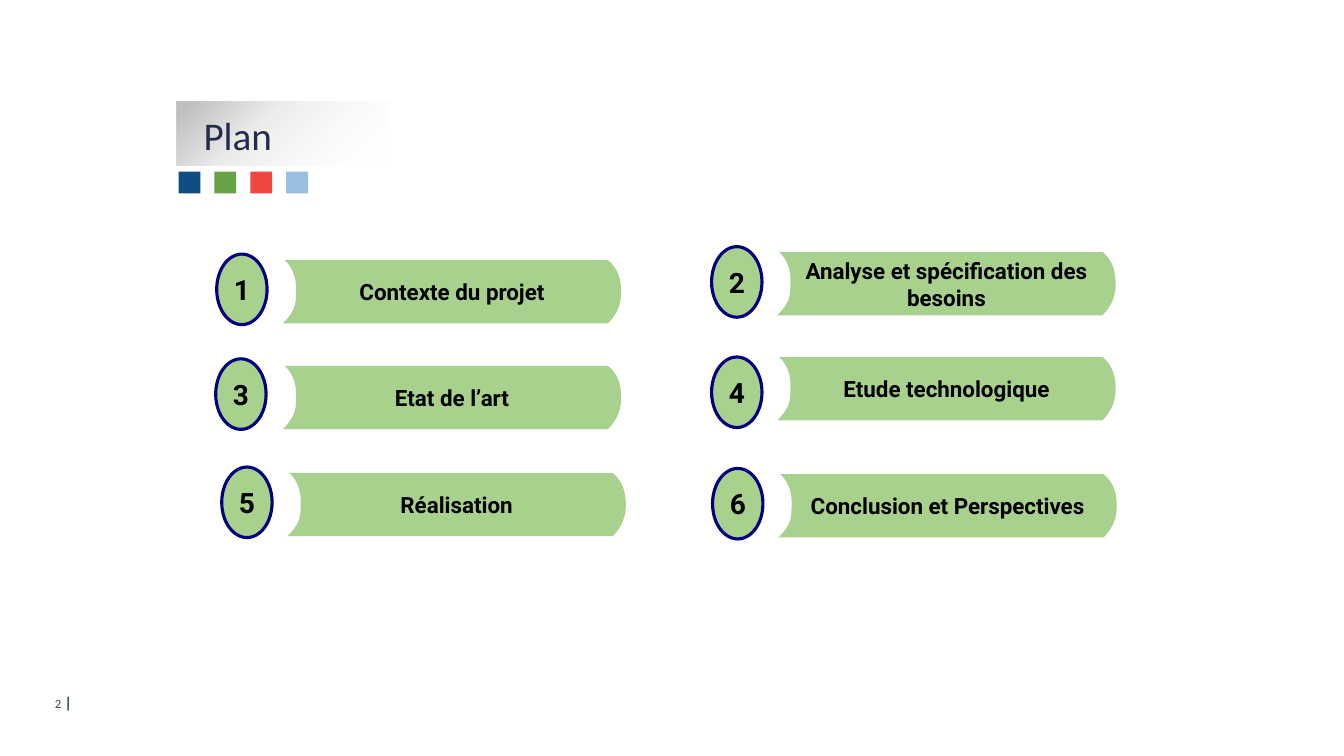
from lxml import etree
from pptx import Presentation
from pptx.dml.color import RGBColor
from pptx.enum.shapes import MSO_SHAPE
from pptx.enum.text import MSO_ANCHOR, PP_ALIGN
from pptx.oxml.ns import qn
from pptx.util import Pt

RECTANGLE = MSO_SHAPE.RECTANGLE
OVAL = MSO_SHAPE.OVAL
MIDDLE = MSO_ANCHOR.MIDDLE
LEFT = PP_ALIGN.LEFT
CENTER = PP_ALIGN.CENTER
RIGHT = PP_ALIGN.RIGHT

GREEN = "A9D18E"
NAVY = "000080"
BLACK = "000000"
SQUARE_COLORS = ("0F4C81", "69A147", "EF4641", "98BEE0")
GRADIENT_STOPS = ((5, "BFBFBF", 100), (37, "BFBFBF", 31), (100, "FFFFFF", 0))
BANNER_START = (232.3, 0)
BANNER_SEGMENTS = (
    ((1.4, 0),),
    ((7.2, 5), (10.1, 14.4), (9.4, 21.6)),
    ((9.4, 29.5), (10.1, 35.3), (0, 45.2)),
    ((232.3, 45.2),),
    ((239.5, 38), (241.7, 30.2), (241.7, 23)),
    ((241.7, 15.1), (240.2, 6.5), BANNER_START),
)
AGENDA = (
    ("Contexte du projet", (154.8, 181.5), (202, 185.8)),
    ("Analyse et spécification des besoins", (508.3, 176.2), (555.2, 180)),
    ("Etat de l’art", (154.1, 256.3), (202, 261.3)),
    ("Etude technologique", (508.3, 255), (555.2, 255)),
    ("Réalisation", (158.4, 333.6), (205.3, 337.8)),
    ("Conclusion et Perspectives", (509, 334.6), (556, 338.7)),
)


def color(value):
    return RGBColor.from_string(value)


def style_run(run, name, size, value, bold=False):
    run.font.name = name
    run.font.size = Pt(size)
    run.font.bold = bold
    run.font.color.rgb = color(value)


def fill_shape(shape, value):
    shape.shadow.inherit = False
    shape.fill.solid()
    shape.fill.fore_color.rgb = color(value)
    shape.line.fill.background()


def write_label(shape, text, size):
    frame = shape.text_frame
    frame.word_wrap = True
    frame.vertical_anchor = MIDDLE
    frame.text = text
    paragraph = frame.paragraphs[0]
    paragraph.alignment = CENTER
    style_run(paragraph.runs[0], "Roboto", size, BLACK, True)


def fade_fill(shape):
    shape.fill.gradient()
    shape.fill.gradient_angle = 315
    stop_list = shape._element.spPr.find(qn("a:gradFill")).find(qn("a:gsLst"))
    for stop in list(stop_list):
        stop_list.remove(stop)
    for position, value, opacity in GRADIENT_STOPS:
        stop = etree.SubElement(stop_list, qn("a:gs"), pos=str(position * 1000))
        stop_color = etree.SubElement(stop, qn("a:srgbClr"), val=value)
        etree.SubElement(stop_color, qn("a:alpha"), val=str(opacity * 1000))


def add_heading(slide, left, top, width, height):
    panel = slide.shapes.add_shape(RECTANGLE, Pt(left), Pt(top), Pt(width), Pt(height))
    panel.shadow.inherit = False
    panel.line.fill.background()
    fade_fill(panel)

    title = slide.shapes.title
    title.left, title.top = Pt(left + 12.2), Pt(top + 3)
    title.width, title.height = Pt(width - 12.2), Pt(41)
    slide.shapes._spTree.append(title._element)
    frame = title.text_frame
    frame.text = "Plan"
    frame.vertical_anchor = MIDDLE
    frame.paragraphs[0].alignment = LEFT
    style_run(frame.paragraphs[0].runs[0], "Calibri", 28, "232D4B")

    for index, value in enumerate(SQUARE_COLORS):
        square = slide.shapes.add_shape(
            RECTANGLE, Pt(left + 1.6 + index * 25.6), Pt(top + 50.1), Pt(15.6), Pt(15.6)
        )
        fill_shape(square, value)


def bend_segments(shape):
    lines = list(shape._element.iter(qn("a:lnTo")))
    for line, segment in zip(lines, BANNER_SEGMENTS):
        if len(segment) == 3:
            curve = etree.Element(qn("a:cubicBezTo"))
            for x, y in segment:
                etree.SubElement(curve, qn("a:pt"), x=str(Pt(x)), y=str(Pt(y)))
            line.getparent().replace(line, curve)


def add_banner(slide, left, top, text):
    corners = [BANNER_START] + [segment[-1] for segment in BANNER_SEGMENTS]
    points = [(Pt(left) + Pt(x), Pt(top) + Pt(y)) for x, y in corners]
    builder = slide.shapes.build_freeform(*points[0])
    builder.add_line_segments(points[1:], close=True)
    banner = builder.convert_to_shape()
    bend_segments(banner)
    fill_shape(banner, GREEN)
    write_label(banner, text, 16)


def add_badge(slide, left, top, number):
    badge = slide.shapes.add_shape(OVAL, Pt(left), Pt(top), Pt(36), Pt(50.4))
    fill_shape(badge, GREEN)
    badge.line.color.rgb = color(NAVY)
    badge.line.width = Pt(2.25)
    write_label(badge, str(number), 20)


def add_page_number(slide, left, top, width, height):
    box = slide.shapes.add_textbox(Pt(left), Pt(top), Pt(width), Pt(height))
    frame = box.text_frame
    frame.word_wrap = True
    frame.margin_left = frame.margin_right = 0
    paragraph = frame.paragraphs[0]
    paragraph.alignment = RIGHT
    number, bar = paragraph.add_run(), paragraph.add_run()
    number.text, bar.text = "2", " |"
    style_run(number, "Calibri", 9, "464646")
    style_run(bar, "Calibri", 11, "0F4C81", True)


def main():
    presentation = Presentation()
    presentation.slide_width = Pt(960)
    presentation.slide_height = Pt(540)
    slide = presentation.slides.add_slide(presentation.slide_layouts[5])
    add_page_number(slide, 31, 491.8, 20.4, 21)
    add_heading(slide, 126, 72.5, 151.2, 45.6)
    for number, (text, badge_corner, banner_corner) in enumerate(AGENDA, 1):
        add_badge(slide, *badge_corner, number)
        add_banner(slide, *banner_corner, text)
    presentation.save("out.pptx")


if __name__ == "__main__":
    main()
